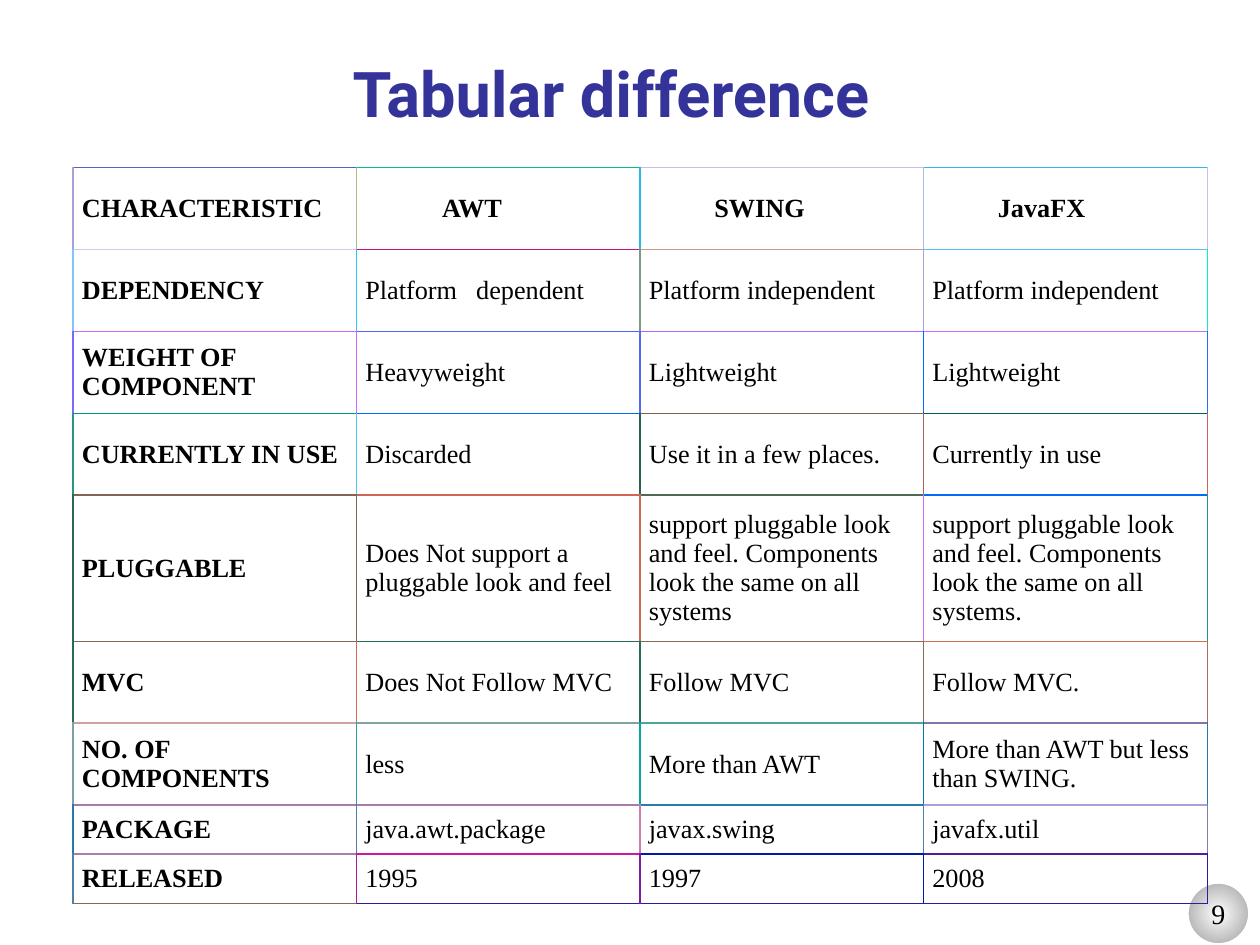
from lxml import etree
from pptx import Presentation
from pptx.dml.color import RGBColor
from pptx.enum.shapes import MSO_SHAPE
from pptx.enum.text import MSO_ANCHOR, PP_ALIGN
from pptx.oxml.ns import qn
from pptx.util import Inches, Pt

CENTER, LEFT = PP_ALIGN.CENTER, PP_ALIGN.LEFT
MIDDLE, BOTTOM = MSO_ANCHOR.MIDDLE, MSO_ANCHOR.BOTTOM
ELLIPSE = MSO_SHAPE.OVAL
WIDTH, HEIGHT = 10, 7.5
HEAD, BODY = "Roboto", "Times New Roman"

ROWS = [
    ["CHARACTERISTIC", "AWT", "SWING", "JavaFX"],
    ["DEPENDENCY", "Platform\tdependent", "Platform independent", "Platform independent"],
    ["WEIGHT OF COMPONENT", "Heavyweight", "Lightweight", "Lightweight"],
    ["CURRENTLY IN USE", "Discarded", "Use it in a few places.", "Currently in use"],
    ["PLUGGABLE", "Does Not support a pluggable look and feel",
     "support pluggable look and feel. Components look the same on all systems",
     "support pluggable look and feel. Components look the same on all systems."],
    ["MVC", "Does Not Follow MVC", "Follow MVC", "Follow MVC."],
    ["NO. OF COMPONENTS", "less", "More than AWT", "More than AWT but less than SWING."],
    ["PACKAGE", "java.awt.package", "javax.swing", "javafx.util"],
    ["RELEASED", "1995", "1997", "2008"],
]
ROW_HEIGHTS = [0.65] * 4 + [1.16] + [0.65] * 2 + [0.39] * 2
HEADER_INDENTS = [0, 0.61, 0.52, 0.52]
TAB_STOP = 0.88

# Rules between rows, top to bottom, one colour per column
H_RULES = [line.split() for line in (
    "5067BD 00BF8B D0B8ED 28BCED",
    "D0C9F8 D00F82 D09982 50C6F8",
    "D066FA 5068FA A869FA D06CFA",
    "009982 006DFA 806056 006256",
    "806656 D06756 506956 006BFA",
    "806B56 286D56 806E56 D06F56",
    "D0A29F 80A59F 50A69F 8076AB",
    "A879AB A87BAB 287DAB A8A0D7",
    "A87FAB D017A1 001BA1 501CA1",
    "806956 281EA0 281EA0 281EA0",
)]
# Rules between columns, left to right, one line per row
V_RULES = [line.split() for line in (
    "A8A0D7 A8BD8B 28B7ED A8BBED D0BBED",
    "80C7F8 28CBF8 809782 A8A0D7 00F4C9",
    "8066FA D067FA 5069FA 006BFA 286BFA",
    "289482 50C6F8 286056 A86156 D06156",
    "286656 806756 D06856 D06CFA 289482",
    "286B56 D06C56 286E56 806F56 A86F56",
    "80A09F 28A59F 00A69F 0076AB 2876AB",
    "2879AB 507BAB D07CAB 507EAB 807EAB",
    "507FAB A81FA0 801AA1 001CA1 281CA1",
)]


def rgb(value):
    return RGBColor.from_string(value)


class Deck:
    """Holds the style and the current slide; boxes are shares of the slide."""

    def __init__(self):
        self.prs = Presentation()
        self.prs.slide_width, self.prs.slide_height = Inches(WIDTH), Inches(HEIGHT)
        self.s = self.prs.slides.add_slide(self.prs.slide_layouts[6])

    def box(self, x, y, w, h):
        return [Inches(v) for v in (x * WIDTH, y * HEIGHT, w * WIDTH, h * HEIGHT)]

    def put_text(self, tf, text, size, font=BODY, color="000000", bold=False, align=LEFT):
        p = tf.paragraphs[0]
        r = p.add_run()
        r.text, p.alignment = text, align
        for target in (p.font, r.font):
            target.size, target.name, target.bold = Pt(size), font, bold
            target.color.rgb = rgb(color)
        return p

    def title(self, text, *share):
        tf = self.s.shapes.add_textbox(*self.box(*share)).text_frame
        tf.word_wrap, tf.vertical_anchor = True, BOTTOM
        self.put_text(tf, text, 36, HEAD, "333399", True, CENTER)

    def badge(self, text, *share):
        sp = self.s.shapes.add_shape(ELLIPSE, *self.box(*share))
        sp.shadow.inherit = False
        sp.line.color.rgb, sp.line.width = rgb("FFFFFF"), Pt(2)
        sp.fill.gradient()
        for stop, color in zip(sp.fill.gradient_stops, ("FFFFFF", "979797")):
            stop.color.rgb = rgb(color)
        grad = sp._element.spPr.find(qn("a:gradFill"))
        grad.remove(grad.find(qn("a:lin")))
        radial = etree.SubElement(grad, qn("a:path"), {"path": "circle"})
        etree.SubElement(radial, qn("a:fillToRect"), dict.fromkeys("ltrb", "50000"))
        tf = sp.text_frame
        tf.word_wrap, tf.vertical_anchor = False, MIDDLE
        self.put_text(tf, text, 16, align=CENTER)

    def border(self, side, color, width):
        ln = etree.Element(qn("a:ln" + side), {"w": str(Pt(width))})
        fill = etree.SubElement(ln, qn("a:solidFill"))
        etree.SubElement(fill, qn("a:srgbClr"), {"val": color})
        return ln

    def cell(self, cell, text, bold, indent, borders):
        cell.fill.background()
        cell.vertical_anchor = MIDDLE
        cell.margin_left = cell.margin_right = Inches(0.07)
        cell.margin_top = cell.margin_bottom = Inches(0.07)
        p = self.put_text(cell.text_frame, text, 15, bold=bold)
        pPr = p._p.get_or_add_pPr()
        if indent:
            pPr.set("marL", str(Inches(indent)))
        if "\t" in text:
            tabs = etree.Element(qn("a:tabLst"))
            etree.SubElement(tabs, qn("a:tab"), {"pos": str(Inches(TAB_STOP)), "algn": "l"})
            pPr.insert(0, tabs)
        tcPr = cell._tc.get_or_add_tcPr()
        for i, border in enumerate(borders):
            tcPr.insert(i, self.border(*border))

    def table(self, rows, heights, *share):
        frame = self.s.shapes.add_table(len(rows), len(rows[0]), *self.box(*share))
        tbl = frame.table
        tbl.first_row = tbl.horz_banding = False
        for row, height in zip(tbl.rows, heights):
            row.height = Inches(height)
        last_row, last_col = len(rows) - 1, len(rows[0]) - 1
        for i, row in enumerate(rows):
            for j, text in enumerate(row):
                borders = [
                    ("L", V_RULES[i][j], 1),
                    ("R", V_RULES[i][j + 1], 0.75 if j == last_col else 1),
                    ("T", H_RULES[i][j], 1),
                    ("B", H_RULES[i + 1][j], 0.75 if i == last_row else 1),
                ]
                indent = HEADER_INDENTS[j] if i == 0 else 0
                self.cell(tbl.cell(i, j), text, i == 0 or j == 0, indent, borders)


deck = Deck()

# Page number and heading
deck.badge("9", 0.942, 7 / HEIGHT, 0.05, 0.5 / HEIGHT)
deck.title("Tabular difference", 0.042, 0.25 / HEIGHT, 0.886, 0.83 / HEIGHT)

# Comparison table
deck.table(ROWS, ROW_HEIGHTS, 0.058, 1.33 / HEIGHT, 0.9, 5.83 / HEIGHT)

deck.prs.save("out.pptx")
